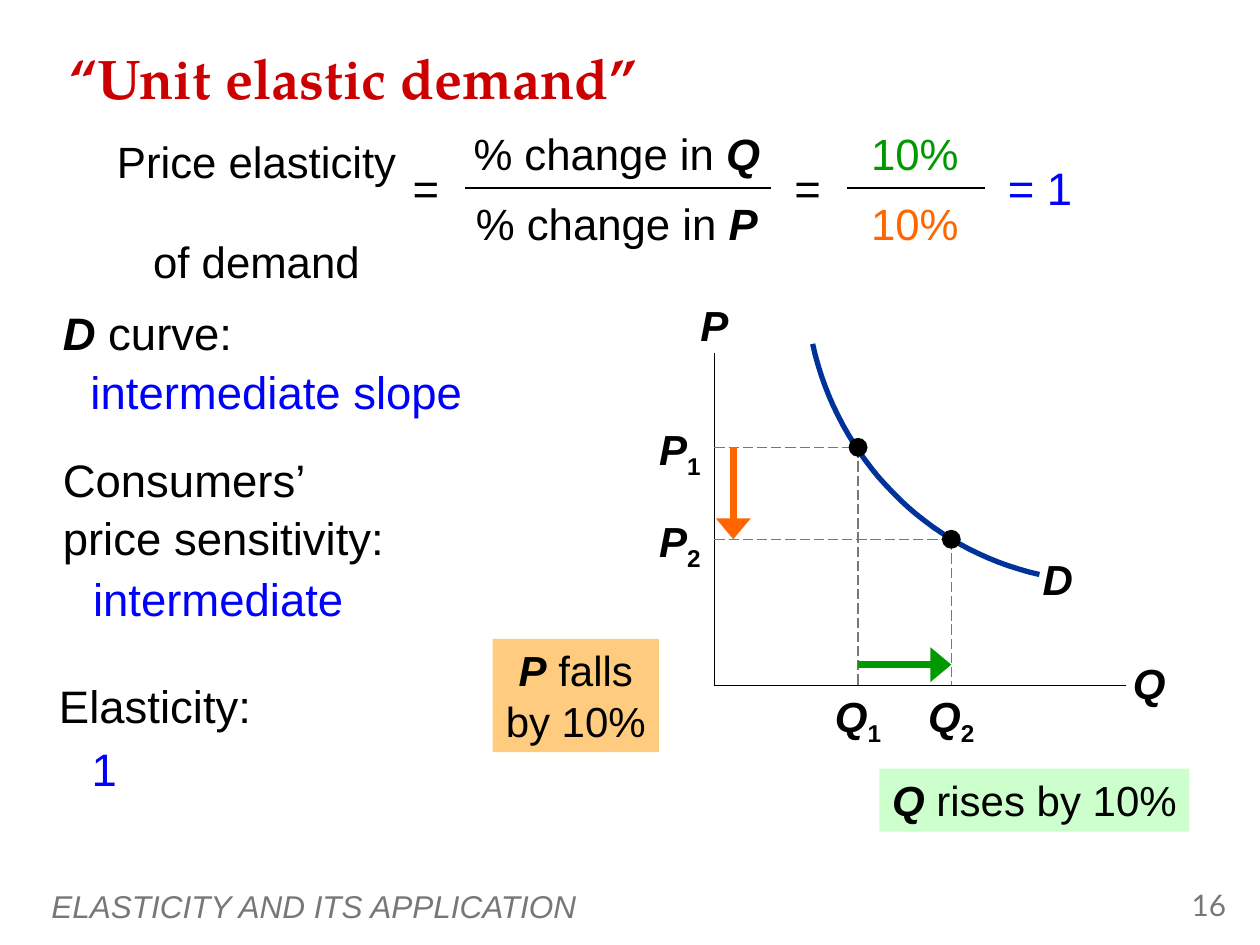
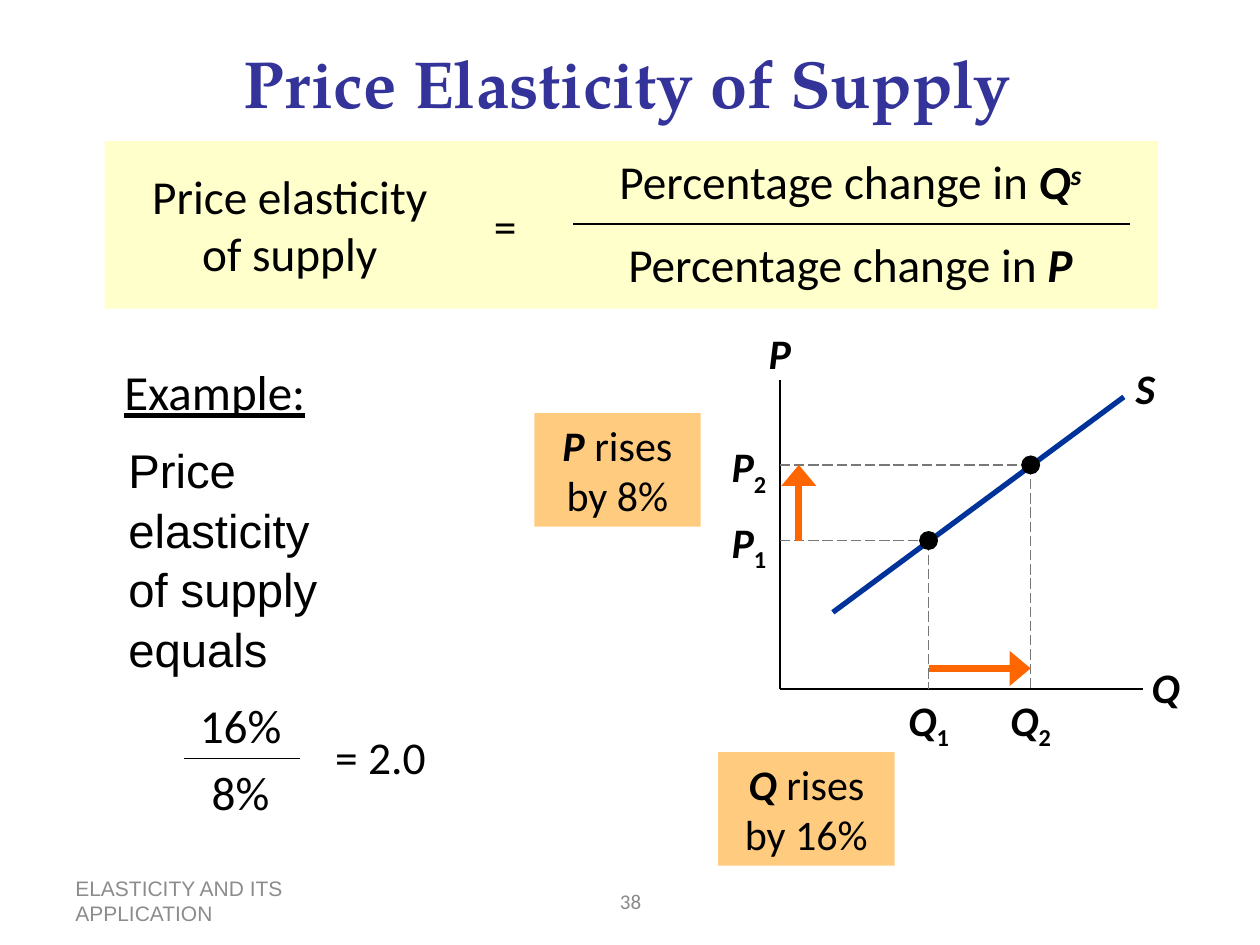
from lxml import etree
from pptx import Presentation
from pptx.dml.color import RGBColor
from pptx.enum.dml import MSO_LINE
from pptx.enum.shapes import MSO_CONNECTOR, MSO_SHAPE
from pptx.enum.text import MSO_ANCHOR, PP_ALIGN
from pptx.oxml.ns import qn
from pptx.util import Inches, Pt

LEFT, MID, RIGHT = PP_ALIGN.LEFT, PP_ALIGN.CENTER, PP_ALIGN.RIGHT
TOP, HALF = MSO_ANCHOR.TOP, MSO_ANCHOR.MIDDLE
RECT, OVAL = MSO_SHAPE.RECTANGLE, MSO_SHAPE.OVAL
LINE, DASH = MSO_CONNECTOR.STRAIGHT, MSO_LINE.LONG_DASH

COLS, ROWS = 100, 75
ARIAL, CALIBRI, LATO, SERIF = "Arial", "Calibri", "Lato", "TeX Gyre Pagella"
BLACK, GRAY, NAVY, BLUE = "000000", "777777", "003399", "0000FF"
ORANGE, GREEN, AMBER = "FF6600", "009900", "FF9900"
MINT, CREAM = "CCFFCC", "FFFFCC"
FOOTER = "ELASTICITY AND ITS APPLICATION"


def cell(count):
    return Inches(round(count / 10, 3))


def paint(color, code):
    color.rgb = RGBColor.from_string(code)


def style(font, marks):
    if "b" in marks:
        font.bold = True
    if "i" in marks:
        font.italic = True
    if "u" in marks:
        font.underline = True


def write(shape, runs, size, face, hue=BLACK, align=MID, anchor=TOP, lead=None):
    frame = shape.text_frame
    frame.word_wrap = True
    frame.vertical_anchor = anchor
    para = frame.paragraphs[0]
    para.alignment = align
    if lead:
        para.line_spacing = lead
    para.font.size = Pt(size)
    para.font.name = face
    paint(para.font.color, hue)
    for words, marks, *shift in runs:
        if len(runs) == 1:
            para.text = words
            style(para.font, marks)
            continue
        run = para.add_run()
        run.text = words
        style(run.font, marks)
        if shift:
            run._r.get_or_add_rPr().set("baseline", str(shift[0] * 1000))


def text(slide, at, runs, size, face, **look):
    if isinstance(runs, str):
        runs = [(runs, "")]
    box = slide.shapes.add_textbox(*map(cell, at))
    write(box, runs, size, face, **look)


def block(slide, at, fill, kind=RECT, clear=None):
    shape = slide.shapes.add_shape(kind, *map(cell, at))
    shape.shadow.inherit = False
    shape.line.fill.background()
    shape.fill.solid()
    paint(shape.fill.fore_color, fill)
    if clear:
        tint = shape.fill._xPr.find(".//" + qn("a:srgbClr"))
        etree.SubElement(tint, qn("a:alpha"), val=str(clear * 1000))
    return shape


def panel(slide, at, fill, runs, size, face, clear=None):
    write(block(slide, at, fill, clear=clear), runs, size, face)


def line(slide, start, end, hue=BLACK, width=1, dash=None, head=False):
    link = slide.shapes.add_connector(LINE, *map(cell, (*start, *end)))
    link.line.width = Pt(width)
    paint(link.line.color, hue)
    if dash:
        link.line.dash_style = dash
    spot = link._element.spPr
    if head:
        etree.SubElement(spot.find(qn("a:ln")), qn("a:tailEnd"),
                         type="triangle", w="lg", len="med")
    etree.SubElement(spot, qn("a:effectLst"))


def curve(slide, a, b, c, d, steps=32):
    def point(t):
        s = 1 - t
        return tuple(cell(s**3 * p + 3 * s * s * t * q + 3 * s * t * t * r + t**3 * v)
                     for p, q, r, v in zip(a, b, c, d))

    path = slide.shapes.build_freeform(*point(0))
    path.add_line_segments([point(n / steps) for n in range(1, steps + 1)], close=False)
    shape = path.convert_to_shape()
    shape.shadow.inherit = False
    shape.fill.background()
    shape.line.width = Pt(3)
    paint(shape.line.color, NAVY)


def label(slide, x, y, face, name, sub=None, align=MID):
    wide = 8
    left = x - (wide if align == RIGHT else wide / 2)
    runs = [(name, "bi")]
    if sub:
        runs.append((str(sub), "b", -25))
    text(slide, (left, y, wide, 5), runs, 24, face, align=align)


def graph(slide, face, corner, top, right, spots, hue):
    x, base = corner
    line(slide, (x, top), corner)
    line(slide, corner, (right, base))
    label(slide, x, top - 4.7, face, "P")
    label(slide, right + 1.8, base - 2.7, face, "Q")
    for sub, (q, p) in enumerate(spots, 1):
        line(slide, (x, p), (q, p), GRAY, 0.75, DASH)
        line(slide, (q, p), (q, base), GRAY, 0.75, DASH)
        block(slide, (q - 0.75, p - 0.75, 1.5, 1.5), BLACK, OVAL)
        label(slide, x - 0.1, p - 2.4, face, "P", sub, RIGHT)
        label(slide, q, base - 0.1, face, "Q", sub)
    (q1, p1), (q2, p2) = spots
    line(slide, (x + 1.5, p1), (x + 1.5, p2), ORANGE, 4, head=True)
    line(slide, (q1, base - 1.65), (q2, base - 1.65), hue, 4, head=True)


def ratio(slide, left, wide, bar, tops, parts, size, face, hues=(BLACK, BLACK), fill=None):
    for top, runs, hue in zip(tops, parts, hues):
        at = (left, top, wide, size / 5)
        if fill:
            panel(slide, at, fill, runs, size, face)
        else:
            text(slide, at, runs, size, face, hue=hue)
    line(slide, (left + 1, bar), (left + wide - 0.8, bar))


def change(lead, *sign):
    return [(lead + " change in ", ""), *sign]


def demand(slide):
    text(slide, (4.5, 2.7, 55.8, 6.8), [("“Unit elastic demand”", "b")], 32, SERIF,
         hue="CC0000", align=LEFT, anchor=HALF)
    text(slide, (7.9, 10.5, 24.9, 8.9), "Price elasticity \vof demand", 25, ARIAL, lead=0.95)
    for left in (31.3, 61.6):
        text(slide, (left, 12.2, 5, 5.3), "=", 26, ARIAL)
    tops = (9.55, 15.1)
    ratio(slide, 35.9, 26.1, 14.9, tops,
          [change("%", ("Q", "bi")), change("%", ("P", "bi"))], 25, ARIAL)
    ratio(slide, 66.2, 12.8, 14.9, tops, ["10%", "10%"], 25, ARIAL, (GREEN, ORANGE))
    text(slide, (78.8, 12.2, 7.5, 5.3), "= 1", 26, ARIAL, hue=BLUE)

    facts = [
        (4, 23.5, 16.3, [("D", "bi"), (" curve:", "")], BLACK),
        (6.2, 28.2, 38.3, "intermediate slope", BLUE),
        (4, 35.2, 37.1, "Consumers’ \vprice sensitivity:", BLACK),
        (6.4, 44.6, 28.7, "intermediate", BLUE),
        (3.7, 53.1, 17.7, "Elasticity:", BLACK),
        (6.3, 58.1, 20, "1", BLUE),
    ]
    for left, top, wide, runs, hue in facts:
        text(slide, (left, top, wide, 5.8), runs, 26, ARIAL, hue=hue, align=LEFT, lead=1.05)

    curve(slide, (82.5, 45.6), (73.5, 43.6), (66.5, 36.4), (64.5, 27.3))
    label(slide, 83.95, 43.4, ARIAL, "D")
    graph(slide, ARIAL, (56.7, 54.4), 28, 89.4, [(68.1, 35.5), (75.5, 42.8)], GREEN)
    panel(slide, (39.1, 50.7, 13.2, 9), AMBER,
          [("P", "bi"), (" falls by 10%", "")], 24, ARIAL, clear=50)
    panel(slide, (69.8, 61, 24.6, 5), MINT,
          [("Q", "bi"), (" rises by 10%", "")], 24, ARIAL)
    text(slide, (3.1, 69.9, 80.2, 4), [(FOOTER, "i")], 18, ARIAL,
         hue=GRAY, align=LEFT, anchor=HALF)
    text(slide, (90.8, 69.9, 7.5, 4), "16", 17, LATO, hue=GRAY, align=RIGHT)


def supply(slide):
    text(slide, (3.8, 2.8, 92, 7.4), [("Price Elasticity of Supply", "b")], 38, SERIF,
         hue="333399", anchor=HALF)
    block(slide, (8.3, 11.2, 83.6, 13.3), CREAM)
    panel(slide, (9.2, 12.8, 27.6, 10), CREAM, [("Price elasticity of supply", "")], 27, CALIBRI)
    panel(slide, (37.6, 15.2, 5, 5.3), CREAM, [("=", "")], 26, CALIBRI)
    ratio(slide, 44.5, 46, 17.8, (11.6, 18.2),
          [change("Percentage", ("Q", "bi"), ("s", "bi", 30)),
           change("Percentage", ("P", "bi"))], 27, CALIBRI, fill=CREAM)

    text(slide, (6.1, 28.2, 21.9, 5.7), [("Example:", "u")], 28, CALIBRI)
    text(slide, (9.2, 34.3, 23.3, 19.7), "Price \velasticity \vof supply equals", 27, ARIAL,
         align=LEFT, lead=1.05)
    ratio(slide, 13.6, 11, 60.2, (54.8, 60.1), ["16%", "8%"], 27, CALIBRI)
    text(slide, (23.4, 57.4, 13.6, 5.3), "= 2.0", 26, CALIBRI)

    line(slide, (89.2, 31.5), (66.1, 48.6), NAVY, 3)
    label(slide, 90.9, 28.3, CALIBRI, "S")
    graph(slide, CALIBRI, (61.9, 54.7), 30.2, 90.7, [(73.7, 42.9), (81.8, 36.9)], ORANGE)
    notes = [((42.4, 32.8, 13.2, 9), "P", " rises by 8%"),
             ((57, 59.7, 14, 9), "Q", " rises by 16%")]
    for at, sign, words in notes:
        panel(slide, at, AMBER, [(sign, "bi"), (words, "")], 24, CALIBRI, clear=50)
    text(slide, (5, 69.5, 23.3, 4), FOOTER, 12, ARIAL, hue="8C8C8C", align=LEFT, anchor=HALF)
    text(slide, (34.2, 69.5, 31.7, 4), "38", 12, CALIBRI, hue="898989", anchor=HALF)


def main():
    deck = Presentation()
    deck.slide_width, deck.slide_height = cell(COLS), cell(ROWS)
    for build in (demand, supply):
        build(deck.slides.add_slide(deck.slide_layouts[6]))
    deck.save("out.pptx")


if __name__ == "__main__":
    main()
